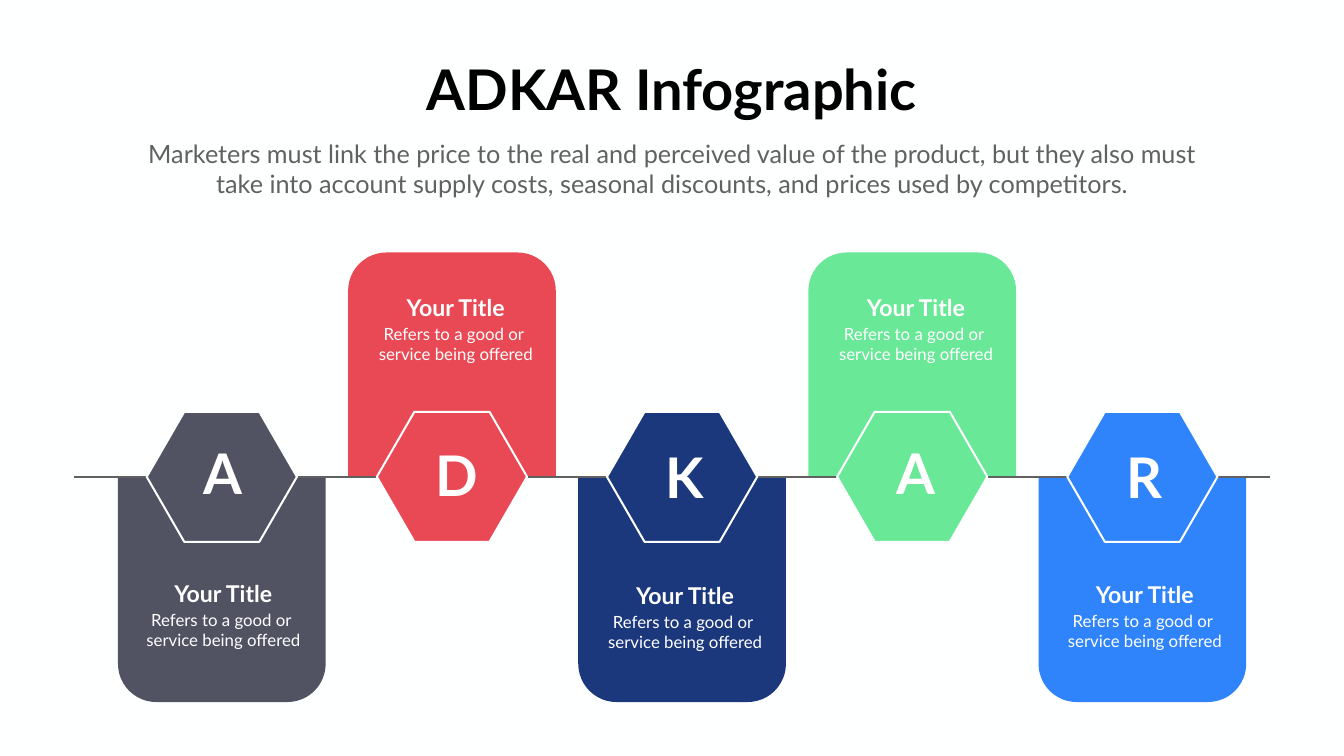
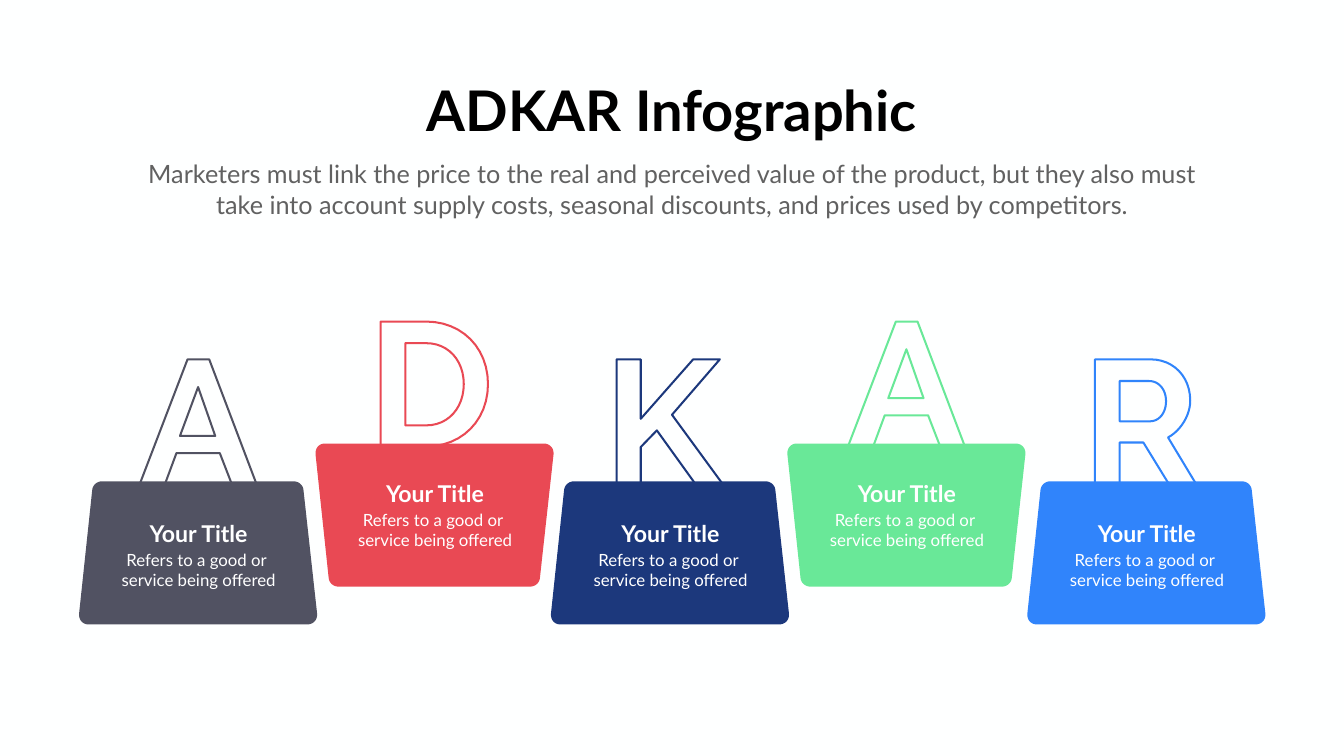
from lxml import etree
from pptx import Presentation
from pptx.dml.color import RGBColor
from pptx.enum.shapes import MSO_CONNECTOR, MSO_SHAPE
from pptx.enum.text import MSO_ANCHOR, MSO_AUTO_SIZE, PP_ALIGN
from pptx.oxml.ns import qn
from pptx.util import Inches, Pt

HEXAGON = MSO_SHAPE.HEXAGON
ROUNDED_CARD = MSO_SHAPE.ROUND_2_SAME_RECTANGLE
STRAIGHT = MSO_CONNECTOR.STRAIGHT
CENTER = PP_ALIGN.CENTER
TOP = MSO_ANCHOR.TOP
GROW = MSO_AUTO_SIZE.SHAPE_TO_FIT_TEXT

SLIDE_WIDTH, SLIDE_HEIGHT = 26.66, 15
FONT = "Lato"
BACKGROUND, WHITE, BLACK, GREY = "FEFFFF", "FFFFFF", "000000", "616161"
LETTERS = "ADKAR"
COLORS = ["515262", "E94954", "1C387C", "69E898", "3084FB"]
LINE_WIDTH = Pt(2.89)

TITLE = "ADKAR Infographic"
SUBTITLE = ("Marketers must link the price to the real and perceived value of the product, "
            "but they also must take into account supply costs, seasonal discounts, "
            "and prices used by competitors.")
CAPTION_TITLE = "Your Title"
CAPTION_BODY = "Refers to a good or \nservice being offered"
TITLE_TOPS = [1.03, 1.44]

# Slide 1: cards hang from or stand on a middle line
MIDDLE = 9.47
CARD_WIDTH, CARD_HEIGHT, CARD_RADIUS = 4.12, 4.46, 0.76
FIRST_CARD, LAST_CARD = 2.34, 20.6
CARD_PITCH = (LAST_CARD - FIRST_CARD) / (len(LETTERS) - 1)
HEXAGON_WIDTH, HEXAGON_HEIGHT = 2.98, 2.58
CARD_TEXT_CENTERS = [4.43, 9.04, 13.59, 18.17, 22.71]
CARD_TEXT_TOPS = [11.44, 5.77, 11.48, 5.78, 11.46]
LETTER_TOPS = [8.66, 8.69, 8.73, 8.66, 8.73]

# Slide 2: outlined letters behind blocks.
# A pair is a corner; four numbers are a rounded corner and the point where it ends.
BLOCK_HEIGHT, LETTER_RISE = 2.84, 2.42
BLOCK_LEFTS = [1.55, 6.24, 10.91, 15.6, 20.36]
BLOCK_TOPS = [9.55, 8.8]
BLOCK_CAPTION_TOPS = [10.25, 9.46]
BLOCK_TEXT_CENTER = 2.39
CURVE_FULLNESS = 0.58
CURVE_STEPS = 12
BLOCK = [(0.48, 0), (4.27, 0), (4.45, 0, 4.47, 0.17), (4.74, 2.62), (4.76, 2.84, 4.54, 2.84),
         (0.21, 2.84), (0, 2.84, 0.02, 2.62), (0.28, 0.17), (0.3, 0, 0.48, 0)]
LETTER_INSETS = {"A": 1.22, "D": 1.31, "K": 1.32, "R": 1.36}
LETTER_OUTLINES = {
    "A": [
        [(1.5, 1.52), (1.16, 0.55), (0.8, 1.52)],
        [(0.95, 0), (1.38, 0), (2.32, 2.48), (1.83, 2.48), (1.59, 1.86), (0.73, 1.86),
         (0.5, 2.48), (0, 2.48)],
    ],
    "D": [
        [(0.49, 0.43), (0.91, 0.43), (1.65, 0.43, 1.65, 1.24), (1.65, 2.06, 0.91, 2.06),
         (0.49, 2.06)],
        [(0, 0), (0.9, 0), (2.13, 0, 2.13, 1.24), (2.13, 2.48, 0.9, 2.48), (0, 2.48)],
    ],
    "K": [
        [(0, 2.48), (0, 0), (0.48, 0), (0.48, 1.18), (1.52, 0), (2.05, 0), (1.1, 1.1),
         (2.11, 2.48), (1.57, 2.48), (0.8, 1.41), (0.48, 1.74), (0.48, 2.48)],
    ],
    "R": [
        [(0.49, 1.23), (0.49, 0.43), (1.07, 0.43), (1.41, 0.43, 1.41, 0.83),
         (1.41, 1.23, 1.09, 1.23)],
        [(0, 2.48), (0, 0), (1.1, 0), (1.89, 0, 1.89, 0.82), (1.89, 1.31, 1.45, 1.55),
         (2.01, 2.48), (1.47, 2.48), (0.96, 1.65), (0.49, 1.65), (0.49, 2.48)],
    ],
}

color = RGBColor.from_string


def write_text(shape, text, center, top, width, height, size, ink=WHITE, bold=False, wrap=True):
    """Place a text shape around a horizontal centre and fill it, one paragraph a line."""
    shape.left, shape.top = Inches(center - width / 2), Inches(top)
    shape.width, shape.height = Inches(width), Inches(height)
    frame = shape.text_frame
    frame.text = text
    frame.word_wrap = wrap
    frame.auto_size = GROW
    frame.vertical_anchor = TOP
    for paragraph in frame.paragraphs:
        paragraph.alignment = CENTER
        paragraph.space_before = Pt(0)
        font = paragraph.runs[0].font
        font.name, font.size, font.bold = FONT, Pt(size), bold
        font.color.rgb = color(ink)


def style(shape, fill=None, line=None):
    shape.shadow.inherit = False
    if fill:
        shape.fill.solid()
        shape.fill.fore_color.rgb = color(fill)
    else:
        shape.fill.background()
    if line:
        shape.line.color.rgb = color(line)
        shape.line.width = LINE_WIDTH
    else:
        shape.line.fill.background()


presentation = Presentation()
presentation.slide_width = Inches(SLIDE_WIDTH)
presentation.slide_height = Inches(SLIDE_HEIGHT)
background = presentation.slide_master.background.fill
background.solid()
background.fore_color.rgb = color(BACKGROUND)

for top in TITLE_TOPS:
    slide = presentation.slides.add_slide(presentation.slide_layouts[0])
    title, subtitle = slide.placeholders
    write_text(title, TITLE, SLIDE_WIDTH / 2, top, 10.14, 1.45, 80, BLACK, bold=True, wrap=False)
    write_text(subtitle, SUBTITLE, SLIDE_WIDTH / 2, top + 1.66, 21.3, 1.31, 36, GREY)
card_slide, block_slide = presentation.slides

# Cards, middle line and hexagons
for column, fill in enumerate(COLORS):
    stands = column % 2
    card = card_slide.shapes.add_shape(
        ROUNDED_CARD, Inches(FIRST_CARD + column * CARD_PITCH),
        Inches(MIDDLE - CARD_HEIGHT if stands else MIDDLE),
        Inches(CARD_WIDTH), Inches(CARD_HEIGHT))
    rounding = CARD_RADIUS / CARD_WIDTH
    card.adjustments[0], card.adjustments[1] = (rounding, 0) if stands else (0, rounding)
    style(card, fill)

middle_line = card_slide.shapes.add_connector(
    STRAIGHT, Inches(1.47), Inches(MIDDLE), Inches(25.19), Inches(MIDDLE))
middle_line.line.color.rgb = color(GREY)
middle_line.line.width = LINE_WIDTH
etree.SubElement(middle_line._element.spPr, qn("a:effectLst"))

for column, fill in enumerate(COLORS):
    center = FIRST_CARD + CARD_WIDTH / 2 + column * CARD_PITCH
    hexagon = card_slide.shapes.add_shape(
        HEXAGON, Inches(center - HEXAGON_WIDTH / 2), Inches(MIDDLE - 0.01 - HEXAGON_HEIGHT / 2),
        Inches(HEXAGON_WIDTH), Inches(HEXAGON_HEIGHT))
    hexagon.adjustments[0] = HEXAGON_WIDTH / 4 / HEXAGON_HEIGHT
    style(hexagon, fill, BACKGROUND)

for letter, center, top in zip(LETTERS, CARD_TEXT_CENTERS, LETTER_TOPS):
    write_text(card_slide.shapes.add_textbox(0, 0, 0, 0), letter, center, top, 1, 1.45, 80,
               bold=True, wrap=False)

# Outlined letters, then the blocks in front of them
letter_drawings, block_drawings = [], []
for column, (letter, ink, left) in enumerate(zip(LETTERS, COLORS, BLOCK_LEFTS)):
    raised = column % 2
    top = BLOCK_TOPS[raised]
    for outline in LETTER_OUTLINES[letter]:
        letter_drawings.append(
            (outline, left + LETTER_INSETS[letter], top - LETTER_RISE, None, ink))
    block = BLOCK
    if raised:
        block = [tuple(BLOCK_HEIGHT - value if index % 2 else value
                       for index, value in enumerate(point)) for point in BLOCK]
    block_drawings.append((block, left, top, ink, None))

for outline, left, top, fill, line in letter_drawings + block_drawings:
    points = []
    for *corner, x, y in outline:
        if corner:
            start, end = points[-1], (x, y)
            for step in range(1, CURVE_STEPS):
                t = step / CURVE_STEPS
                start_weight = (1 - t) ** 3 + 3 * t * (1 - t) ** 2 * (1 - CURVE_FULLNESS)
                end_weight = t ** 3 + 3 * t ** 2 * (1 - t) * (1 - CURVE_FULLNESS)
                corner_weight = 1 - start_weight - end_weight
                points.append(tuple(start_weight * a + corner_weight * b + end_weight * c
                                    for a, b, c in zip(start, corner, end)))
        points.append((x, y))
    vertices = [(Inches(left + x), Inches(top + y)) for x, y in points]
    builder = block_slide.shapes.build_freeform(*vertices[0])
    builder.add_line_segments(vertices[1:], close=True)
    style(builder.convert_to_shape(), fill, line)

# Captions of both slides
captions = [(card_slide, center, top) for center, top in zip(CARD_TEXT_CENTERS, CARD_TEXT_TOPS)]
captions += [(block_slide, left + BLOCK_TEXT_CENTER, BLOCK_CAPTION_TOPS[column % 2])
             for column, left in enumerate(BLOCK_LEFTS)]
for slide, center, top in captions:
    write_text(slide.shapes.add_textbox(0, 0, 0, 0), CAPTION_TITLE, center, top,
               2.3, 0.66, 33, bold=True)
    write_text(slide.shapes.add_textbox(0, 0, 0, 0), CAPTION_BODY, center, top + 0.6,
               3.52, 0.91, 24)

presentation.save("out.pptx")
